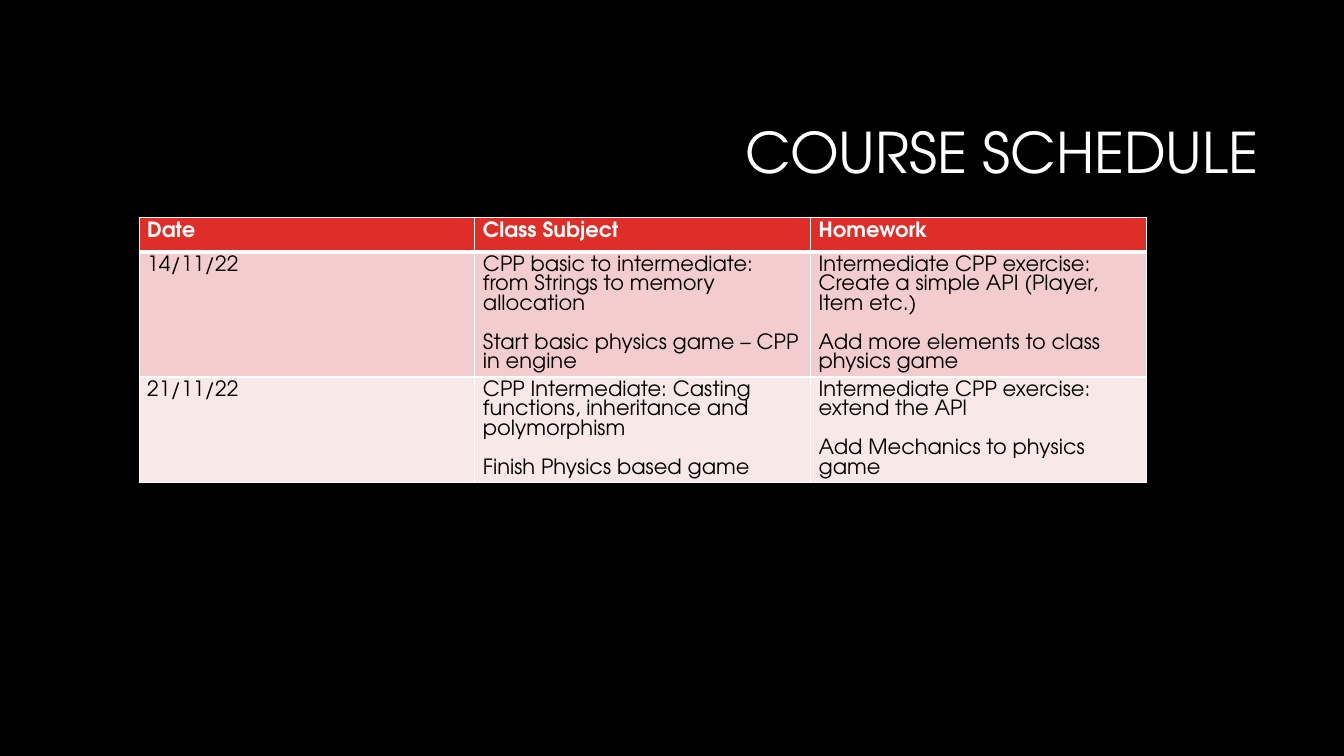
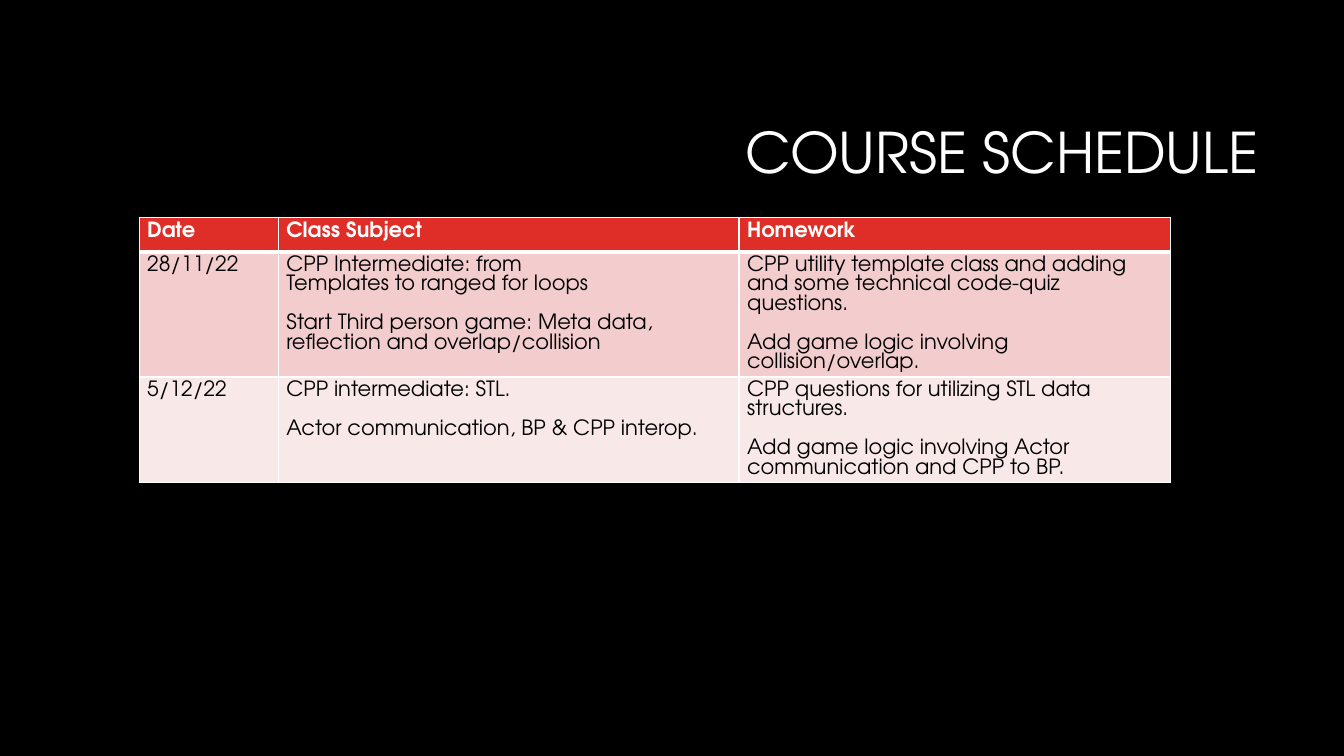
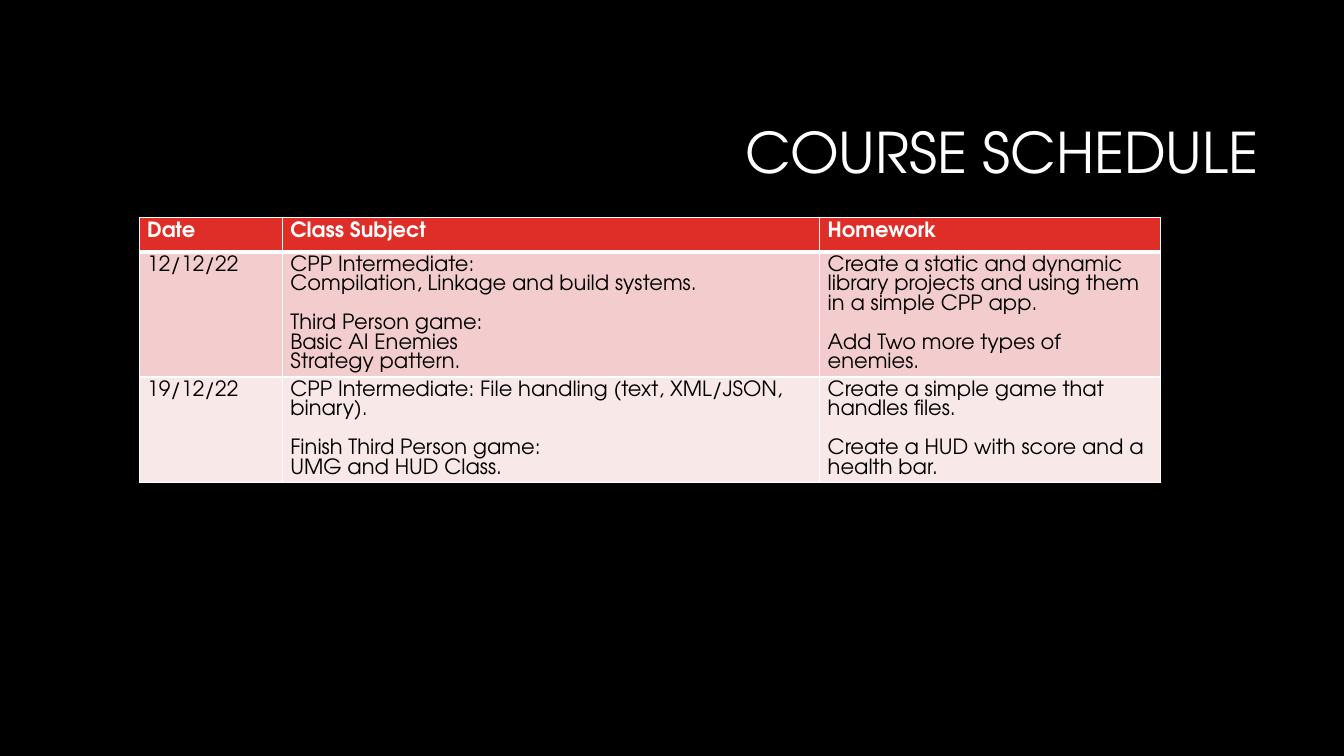
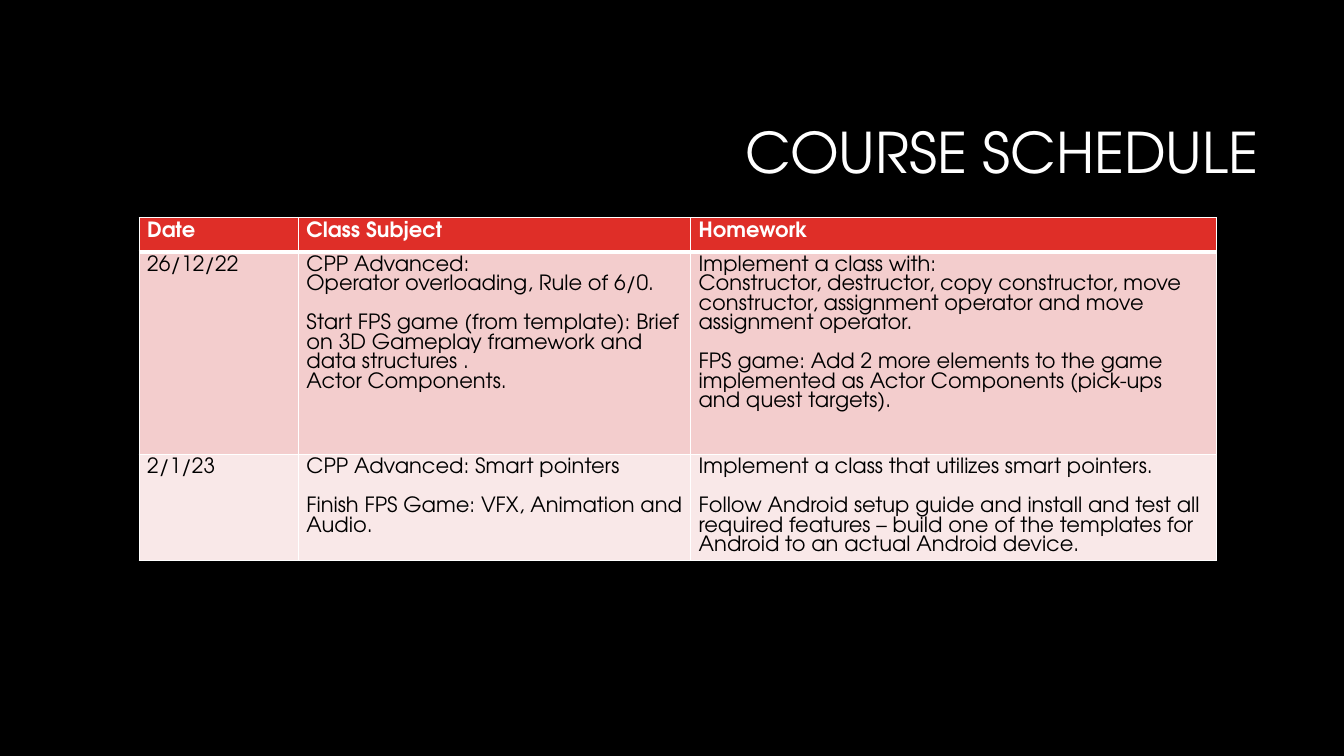
from lxml.etree import SubElement
from pptx import Presentation
from pptx.dml.color import RGBColor
from pptx.enum.text import MSO_ANCHOR as Anchor, PP_ALIGN as Align
from pptx.oxml.ns import qn
from pptx.util import Inches, Pt

BLACK = RGBColor(0x00, 0x00, 0x00)
WHITE = RGBColor(0xFF, 0xFF, 0xFF)
RED = RGBColor(0xDF, 0x2E, 0x28)
ROSE = RGBColor(0xF3, 0xCD, 0xCD)
BLUSH = RGBColor(0xF9, 0xE8, 0xE8)
FONT = "TeX Gyre Adventor"
LINE_PITCH = Pt(13.9)
HEADINGS = ("Date", "Class Subject", "Homework")
ROW_FILLS = (RED, ROSE, BLUSH)

schedules = [
    {
        "widths": (3.33, 3.33, 3.33),
        "heights": (0.34, 1.24, 1.05),
        "classes": [
            ("14/11/22",
             "CPP basic to intermediate: from Strings to memory allocation\n\n"
             "Start basic physics game – CPP in engine",
             "Intermediate CPP exercise: Create a simple API (Player, Item etc.)\n\n"
             "Add more elements to class physics game"),
            ("21/11/22",
             "CPP Intermediate: Casting functions, inheritance and polymorphism\n\n"
             "Finish Physics based game",
             "Intermediate CPP exercise: extend the API\n\n"
             "Add Mechanics to physics game"),
        ],
    },
    {
        "widths": (1.38, 4.57, 4.28),
        "heights": (0.34, 1.24, 1.05),
        "classes": [
            ("28/11/22",
             "CPP Intermediate: from\nTemplates to ranged for loops\n\n"
             "Start Third person game: Meta data, reflection and overlap/collision",
             "CPP utility template class and adding and some technical code-quiz questions.\n\n"
             "Add game logic involving collision/overlap."),
            ("5/12/22",
             "CPP intermediate: STL.\n\n"
             "Actor communication, BP & CPP interop.",
             "CPP questions for utilizing STL data structures.\n\n"
             "Add game logic involving Actor communication and CPP to BP."),
        ],
    },
    {
        "widths": (1.42, 5.33, 3.38),
        "heights": (0.34, 1.24, 1.05),
        "classes": [
            ("12/12/22",
             "CPP Intermediate:\nCompilation, Linkage and build systems.\n\n"
             "Third Person game:\nBasic AI Enemies\nStrategy pattern.",
             "Create a static and dynamic library projects and using them in a simple CPP app.\n\n"
             "Add Two more types of enemies."),
            ("19/12/22",
             "CPP Intermediate: File handling (text, XML/JSON, binary).\n\n"
             "Finish Third Person game:\nUMG and HUD Class.",
             "Create a simple game that handles files.\n\n"
             "Create a HUD with score and a health bar."),
        ],
    },
    {
        "widths": (1.58, 3.89, 5.22),
        "heights": (0.34, 2.01, 1.05),
        "classes": [
            ("26/12/22",
             "CPP Advanced:\nOperator overloading, Rule of 6/0.\n\n"
             "Start FPS game (from template): Brief on 3D Gameplay framework and "
             "data structures .\nActor Components.",
             "Implement a class with:\nConstructor, destructor, copy constructor, move "
             "constructor, assignment operator and move assignment operator.\n\n"
             "FPS game: Add 2 more elements to the game implemented as Actor "
             "Components (pick-ups and quest targets)."),
            ("2/1/23",
             "CPP Advanced: Smart pointers\n\n"
             "Finish FPS Game: VFX, Animation and Audio.",
             "Implement a class that utilizes smart pointers.\n\n"
             "Follow Android setup guide and install and test all required features – "
             "build one of the templates for Android to an actual Android device."),
        ],
    },
]


def write(frame, text, size=15, color=BLACK, bold=False, align=Align.LEFT,
          spacing=LINE_PITCH):
    frame.word_wrap = True
    para = None
    for block in text.split("\n\n"):
        for position, line in enumerate(block.split("\n")):
            starts_block = para is not None and position == 0
            para = frame.paragraphs[0] if para is None else frame.add_paragraph()
            para.alignment = align
            para.line_spacing = spacing
            if starts_block:
                para.space_before = LINE_PITCH
            span = para.add_run()
            span.text = line
            span.font.name = FONT
            span.font.size = Pt(size)
            span.font.bold = bold
            span.font.color.rgb = color


def set_borders(cell, **widths):
    properties = cell._tc.get_or_add_tcPr()
    for side, width in widths.items():
        border = SubElement(properties, qn(f"a:ln{side}"), w=str(Pt(width)))
        fill = SubElement(border, qn("a:solidFill"))
        SubElement(fill, qn("a:srgbClr"), val=str(WHITE))


deck = Presentation()
deck.slide_width = Inches(13.33)
deck.slide_height = Inches(7.5)
background = deck.slide_master.background.fill
background.solid()
background.fore_color.rgb = BLACK

for schedule in schedules:
    page = deck.slides.add_slide(deck.slide_layouts[6])

    title = page.shapes.add_textbox(Inches(3.16), Inches(0.84), Inches(9.42), Inches(1.41))
    title.text_frame.vertical_anchor = Anchor.MIDDLE
    write(title.text_frame, "COURSE SCHEDULE", size=40, color=WHITE,
          align=Align.RIGHT, spacing=0.9)

    widths, heights = schedule["widths"], schedule["heights"]
    rows = [HEADINGS, *schedule["classes"]]
    table = page.shapes.add_table(
        len(rows), len(HEADINGS), Inches(1.38), Inches(2.16),
        Inches(sum(widths)), Inches(sum(heights))).table
    for column, width in zip(table.columns, widths):
        column.width = Inches(width)

    for row_number, (texts, height) in enumerate(zip(rows, heights)):
        table.rows[row_number].height = Inches(height)
        is_header = row_number == 0
        for column_number, text in enumerate(texts):
            cell = table.cell(row_number, column_number)
            cell.margin_left = cell.margin_right = Inches(0.08)
            cell.margin_top = cell.margin_bottom = Inches(0.04)
            set_borders(cell, L=1, R=1, T=3 if row_number == 1 else 1,
                        B=3 if is_header else 1)
            cell.fill.solid()
            cell.fill.fore_color.rgb = ROW_FILLS[row_number]
            write(cell.text_frame, text, color=WHITE if is_header else BLACK, bold=is_header)

deck.save("out.pptx")
